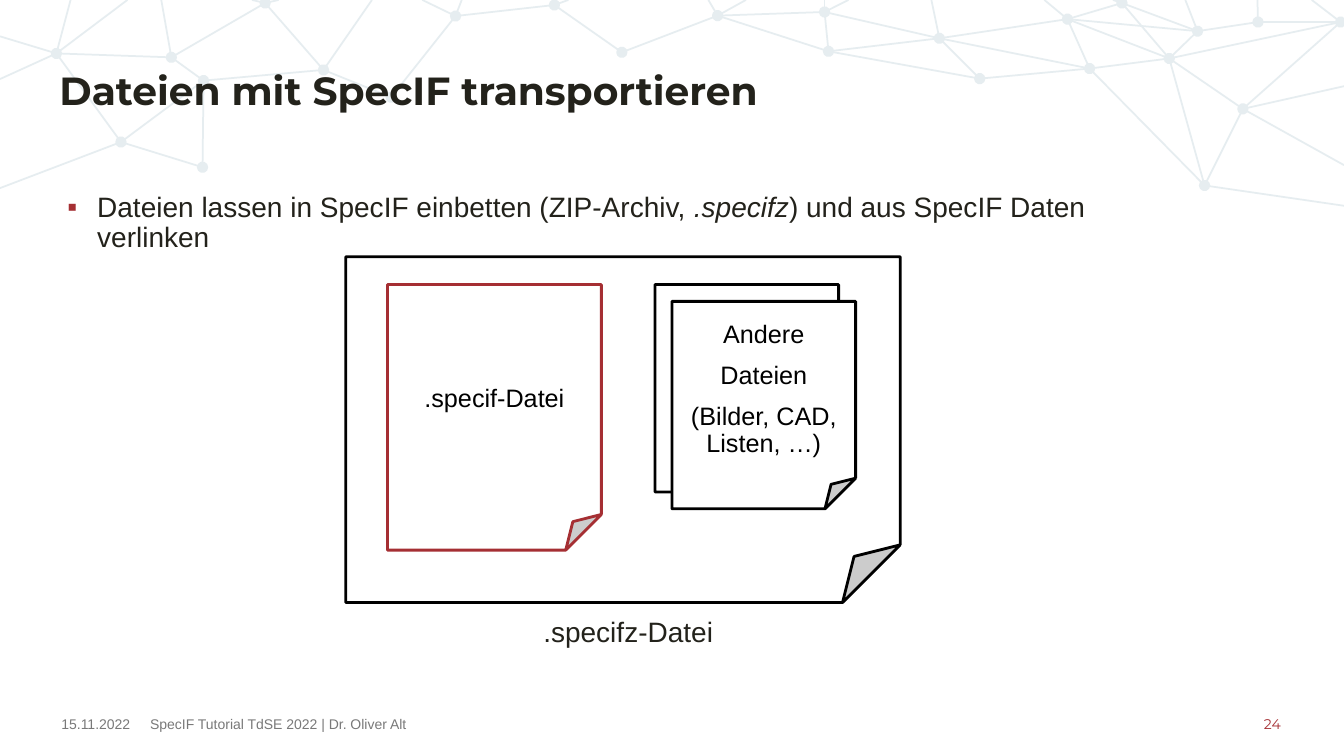
from math import cos, pi, sin

from lxml import etree
from pptx import Presentation
from pptx.dml.color import RGBColor as RGB
from pptx.enum.shapes import MSO_SHAPE as SHAPE
from pptx.enum.text import MSO_ANCHOR as ANCHOR, PP_ALIGN as ALIGN
from pptx.oxml.ns import qn
from pptx.util import Pt

TITLE = "Dateien mit SpecIF transportieren"
POINT = ["Dateien lassen in SpecIF einbetten (ZIP-Archiv, ", ".specifz",
         ") und aus SpecIF Daten verlinken"]
LABEL = ".specifz-Datei"
OTHER = "Andere\nDateien\n(Bilder, CAD, Listen, …)"

# Background network: node centres, links between nodes, links to the slide edge
NODES = {
    "a": (40.3, 38.2), "b": (122.4, 41), "c": (145.4, 57.6),
    "d": (86.4, 101.5), "e": (144.7, 119.5), "f": (189.4, 2.2),
    "g": (231.1, 50), "h": (279.4, 69.5), "i": (325.4, 11.5),
    "j": (396, 3.6), "k": (444.2, 37.4), "l": (512.6, 11.2),
    "m": (589, 8.6), "n": (591.8, 36.7), "o": (671, 27.4),
    "p": (699.8, 56.2), "q": (762.5, 13.7), "r": (778.3, 49),
    "s": (801.4, 2.2), "t": (855.4, 22.3), "u": (835.2, 41.8),
    "v": (898.6, 15.8), "w": (887.8, 77.8), "x": (860.4, 132.5),
    "y": (957.6, 15.8),
}
LINKS = ("ab ad bc bf cd ce cg de fg gh hi ij jk kl lm ln mn mo no np op or "
         "oq pr qr qs qt qu ru rx st su tu tv uw ux uy vy wx wy").split()
RAYS = [
    ("a", 50.4, 0), ("a", 91, 0), ("b", 115.2, 0), ("f", 180, 0),
    ("f", 199, 0), ("g", 265.7, 0), ("i", 301.7, 0), ("i", 329.8, 0),
    ("j", 406, 0), ("l", 506, 0), ("l", 532.8, 0), ("m", 589, 0),
    ("m", 606, 0), ("o", 665.3, 0), ("q", 746, 0), ("s", 795, 0),
    ("t", 846.7, 0), ("v", 898.2, 0), ("y", 937, 0), ("w", 960, 61.6),
    ("w", 960, 118), ("x", 960, 147), ("d", 0, 134.4), ("a", 0, 56.5),
    ("a", 0, 26),
]

THEME = {
    "ink": RGB(0x23, 0x22, 0x1B), "red": RGB(0xA5, 0x2F, 0x33),
    "gray": RGB(0x79, 0x79, 0x79), "black": RGB(0, 0, 0),
    "white": RGB(255, 255, 255), "net": RGB(0xE6, 0xED, 0xF0),
    "body": "Arial", "head": "Montserrat",
    "big": 28, "text": 20, "note": 18, "small": 10,
}
FOOT = [  # left, width, text, font, colour, alignment
    (42.5, 51.8, "15.11.2022", "body", "gray", ALIGN.CENTER),
    (107.3, 357.8, "SpecIF Tutorial TdSE 2022 | Dr. Oliver Alt", "body",
     "gray", ALIGN.LEFT),
    (902.9, 14.4, "24", "head", "red", ALIGN.LEFT),
]
PAGES = [  # left, top, width, height, line colour, text
    (247, 183.4, 396, 247, "black", ""),
    (276.8, 203.3, 152.8, 189.7, "red", ".specif-Datei"),
    (467.9, 203.3, 131.2, 148.2, "black", ""),
    (480, 215.3, 131.2, 148.2, "black", OTHER),
]
WIDE, HIGH = 960, 540

prs = Presentation()
prs.slide_width, prs.slide_height = Pt(WIDE), Pt(HIGH)
slide = prs.slides.add_slide(prs.slide_layouts[6])
shapes = slide.shapes


def style(frame, size, tint="ink", font="body", align=ALIGN.LEFT, pad=0):
    """Format every paragraph and set equal insets."""
    frame.margin_left = frame.margin_right = Pt(pad)
    frame.margin_top = frame.margin_bottom = Pt(pad)
    for para in frame.paragraphs:
        para.alignment = align
        para.line_spacing = 0.9
        para.space_after = Pt(10)
        for run in para.runs:
            run.font.size = Pt(THEME[size])
            run.font.name = THEME[font]
            run.font.color.rgb = THEME[tint]


def box(x, y, w, h, text, wrap=True):
    frame = shapes.add_textbox(Pt(x), Pt(y), Pt(w), Pt(h)).text_frame
    frame.word_wrap = wrap
    frame.text = text
    return frame


def paint(shape, fill, line, width):
    shape.shadow.inherit = False
    shape.fill.solid()
    shape.fill.fore_color.rgb = THEME[fill]
    shape.line.color.rgb = THEME[line]
    shape.line.width = Pt(width)


def bullet(para, sign):
    props = para._p.get_or_add_pPr()
    props.set("marL", str(Pt(21.26)))
    props.set("indent", str(Pt(-21.26)))
    tint = etree.SubElement(props, qn("a:buClr"))
    etree.SubElement(tint, qn("a:srgbClr")).set("val", str(THEME["red"]))
    etree.SubElement(props, qn("a:buFont")).set("typeface", THEME["body"])
    etree.SubElement(props, qn("a:buChar")).set("char", sign)


def ring(x, y, rad=3.4, count=10):
    """Corners of a dot, kept inside the slide."""
    turns = [2 * pi * n / count for n in range(count)]
    return [(min(x + rad * cos(t), WIDE), max(y + rad * sin(t), 0))
            for t in turns]


def net():
    """Draw all links and dots as one outline."""
    parts = [([NODES[a], NODES[b]], False) for a, b in LINKS]
    parts += [([NODES[a], (x, y)], False) for a, x, y in RAYS]
    parts += [(ring(*spot), True) for spot in NODES.values()]
    pen = None
    for spots, close in parts:
        first, *rest = [(Pt(x), Pt(y)) for x, y in spots]
        if pen:
            pen.move_to(*first)
        else:
            pen = shapes.build_freeform(*first)
        pen.add_line_segments(rest, close=close)
    paint(pen.convert_to_shape(), "net", "net", 1.25)


net()

head = box(42.5, 51.1, 874.8, 51.1, TITLE)
style(head, "big", font="head")
head.paragraphs[0].runs[0].font.bold = True

for x, w, text, font, tint, align in FOOT:
    foot = box(x, 508.3, w, 17.3, text, wrap=False)
    foot.vertical_anchor = ANCHOR.MIDDLE
    style(foot, "small", tint, font, align)
    foot.paragraphs[0].line_spacing = 1.0
    foot.paragraphs[0].space_after = Pt(0)

body = box(48.2, 138.2, 804.2, 390.2, "")
para = body.paragraphs[0]
for text in POINT:
    para.add_run().text = text
bullet(para, "▪")
style(body, "text")
para.runs[1].font.italic = True

for x, y, w, h, line, text in PAGES:
    page = shapes.add_shape(SHAPE.FOLDED_CORNER, Pt(x), Pt(y), Pt(w), Pt(h))
    paint(page, "white", line, 2)
    if text:
        page.text_frame.text = text
        page.text_frame.word_wrap = True
        page.text_frame.vertical_anchor = ANCHOR.MIDDLE
        style(page.text_frame, "note", "black", align=ALIGN.CENTER, pad=2.9)

style(box(388.1, 441.4, 124, 24.5, LABEL), "text")

prs.save("out.pptx")
